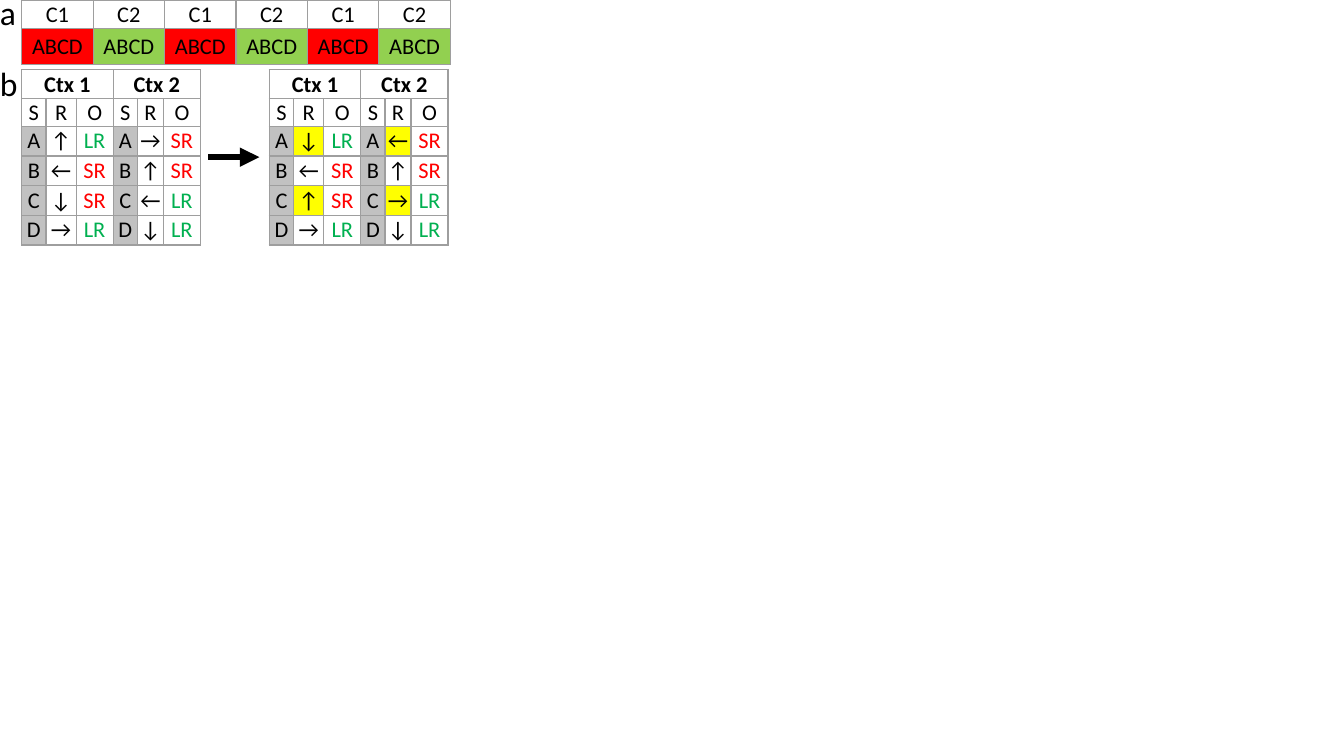
import pptx
import pptx.util
import pptx.dml.color
import pptx.enum.shapes
import pptx.enum.text
import pptx.oxml
import pptx.oxml.ns

Cm = pptx.util.Cm
Pt = pptx.util.Pt
RGBColor = pptx.dml.color.RGBColor
Anchor = pptx.enum.text.MSO_ANCHOR

BLACK = RGBColor(0x00, 0x00, 0x00)
RED = RGBColor(0xFF, 0x00, 0x00)
GREEN = RGBColor(0x00, 0xB0, 0x50)
LIME = RGBColor(0x92, 0xD0, 0x50)
GREY = RGBColor(0xC1, 0xC1, 0xC1)
YELLOW = RGBColor(0xFF, 0xFF, 0x00)
BORDER = RGBColor(0x9E, 0x9E, 0x9E)

INKS = {"LR": GREEN, "SR": RED}
CELL = {"margin_left": Cm(0.02), "margin_top": Cm(0.02),
        "margin_right": Cm(0.02), "margin_bottom": 0}
LABEL = {"margin_left": 0, "margin_top": 0, "margin_right": 0,
         "margin_bottom": 0, "word_wrap": False,
         "vertical_anchor": Anchor.BOTTOM,
         "auto_size": pptx.enum.text.MSO_AUTO_SIZE.SHAPE_TO_FIT_TEXT}

LEFT = 0.41
TOP = 1.32
WIDE = 1.35
COLS = [0.46, 0.57, 0.70, 0.46, 0.49, 0.70]
ROWS = [0.54, 0.53] + [0.56] * 4
HEADS = [["Ctx 1", "", "", "Ctx 2", "", ""], ["S", "R", "O"] * 2]
OLD = [["A", "↑", "LR", "A", "→", "SR"],
       ["B", "←", "SR", "B", "↑", "SR"],
       ["C", "↓", "SR", "C", "←", "LR"],
       ["D", "→", "LR", "D", "↓", "LR"]]
SWAP = {"↑": "↓", "↓": "↑", "←": "→", "→": "←"}


def apply(item, values):
    for name, value in values.items():
        setattr(item, name, value)


def write(frame, text, size, ink=BLACK, bold=False):
    para = frame.paragraphs[0]
    run = para.add_run()
    run.text = text
    apply(run.font, {"name": "Calibri", "size": Pt(size), "bold": bold})
    run.font.color.rgb = ink
    return para


def edge(cell):
    """Draw a thin line on all four sides of the cell."""
    props = cell._tc.get_or_add_tcPr()
    space = pptx.oxml.ns.nsdecls("a")
    for side in "LRTB":
        props.append(pptx.oxml.parse_xml(
            f'<a:ln{side} {space} w="{Pt(0.75)}"><a:solidFill>'
            f'<a:srgbClr val="{BORDER}"/></a:solidFill></a:ln{side}>'))


def add_grid(slide, left, top, cols, rows, data, fills, anchor, heads=()):
    """Add a table; fills maps (row, column) to a colour, heads lists bold rows."""
    frame = slide.shapes.add_table(len(rows), len(cols), Cm(left), Cm(top),
                                   Cm(sum(cols)), Cm(sum(rows)))
    grid = frame.table
    apply(grid, {"first_row": False, "horz_banding": False})
    for col, width in zip(grid.columns, cols):
        col.width = Cm(width)
    for row, height in zip(grid.rows, rows):
        row.height = Cm(height)
    for r, line in enumerate(data):
        for c, text in enumerate(line):
            cell = grid.cell(r, c)
            apply(cell, {**CELL, "vertical_anchor": anchor})
            edge(cell)
            if (r, c) in fills:
                cell.fill.solid()
                cell.fill.fore_color.rgb = fills[r, c]
            else:
                cell.fill.background()
            if text:
                para = write(cell.text_frame, text, 12,
                             INKS.get(text, BLACK), r in heads)
                para.alignment = pptx.enum.text.PP_ALIGN.CENTER
    return grid


def add_rules(slide, left, body, marks=()):
    """Add a table of both contexts, with the marked body cells in yellow."""
    fills = {(r, c): GREY for r in range(2, 6) for c in (0, 3)}
    fills.update({(r + 2, c): YELLOW for r, c in marks})
    grid = add_grid(slide, left, TOP, COLS, ROWS, HEADS + body, fills,
                    Anchor.TOP, heads=(0,))
    for c in (0, 3):
        grid.cell(0, c).merge(grid.cell(0, c + 2))


def add_label(slide, text, top, width, height):
    box = slide.shapes.add_textbox(0, Cm(top), Cm(width), Cm(height))
    apply(box.text_frame, LABEL)
    write(box.text_frame, text, 18)


def add_arrow(slide, start, end, y):
    kind = pptx.enum.shapes.MSO_CONNECTOR.STRAIGHT
    arrow = slide.shapes.add_connector(kind, Cm(start), Cm(y), Cm(end), Cm(y))
    arrow.line.width = Pt(3.5)
    arrow.line.color.rgb = BLACK
    space = pptx.oxml.ns.nsdecls("a")
    arrow.line._get_or_add_ln().append(
        pptx.oxml.parse_xml(f'<a:tailEnd {space} type="triangle"/>'))
    arrow._element.spPr.append(pptx.oxml.parse_xml(f"<a:effectLst {space}/>"))


def main():
    deck = pptx.Presentation()
    apply(deck, {"slide_width": Cm(25.4), "slide_height": Cm(14.29)})
    slide = deck.slides.add_slide(deck.slide_layouts[6])

    blocks = {(1, c): (RED, LIME)[c % 2] for c in range(6)}
    add_grid(slide, LEFT, 0, [WIDE] * 6, [0.53, 0.68],
             [["C1", "C2"] * 3, ["ABCD"] * 6], blocks, Anchor.MIDDLE)
    add_label(slide, "a", 0, 0.28, 0.61)
    add_label(slide, "b", 1.19, 0.33, 0.76)

    marks = [(r, c) for r in (0, 2) for c in (1, 4)]
    new = [[SWAP[text] if (r, c) in marks else text
            for c, text in enumerate(line)] for r, line in enumerate(OLD)]
    add_rules(slide, LEFT, OLD)
    add_rules(slide, 5.09, new, marks)
    add_arrow(slide, 3.94, 4.9, 2.97)
    deck.save("out.pptx")


if __name__ == "__main__":
    main()
